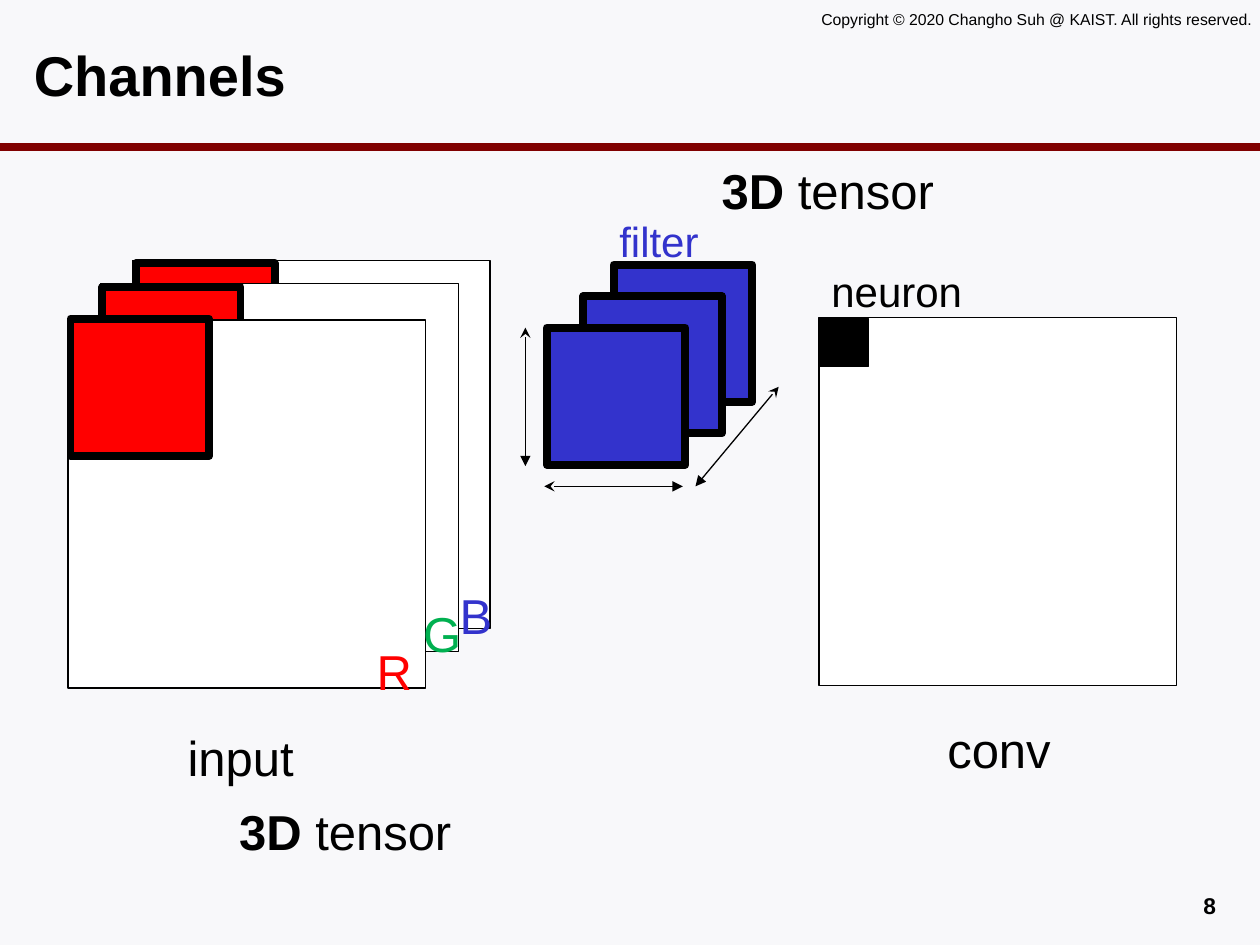
from pptx import Presentation
from pptx.dml.color import RGBColor
from pptx.enum.shapes import MSO_CONNECTOR, MSO_SHAPE
from pptx.enum.text import MSO_ANCHOR, MSO_AUTO_SIZE, PP_ALIGN
from pptx.oxml.ns import qn
from pptx.util import Inches, Pt
from lxml.etree import SubElement

# The slide is a grid of 100 columns by 75 rows
COLS, ROWS = 100, 75
CELL = Inches(10) // COLS
HUES = {"back": "F8F8FA", "rule": "800000", "ink": "000000", "sheet": "FFFFFF",
        "red": "FF0000", "green": "00B050", "blue": "3333CC"}
MAP = (28.4, 29.2)    # size of a feature map
PATCH = (11, 10.9)    # size of a filter window


def grid(*nums):
    return [round(n * CELL) for n in nums]


def tint(name):
    return RGBColor.from_string(HUES[name])


def style(part, form):
    for key, val in form.items():
        setattr(part, key, val)


def rect(slide, x, y, size, fill, line=0.75):
    box = slide.shapes.add_shape(MSO_SHAPE.RECTANGLE, *grid(x, y, *size))
    box.shadow.inherit = False
    box.fill.solid()
    box.fill.fore_color.rgb = tint(fill)
    box.line.color.rgb = tint("ink")
    box.line.width = Pt(line)


def stroke(slide, start, end, hue="ink", width=0.75, ends=()):
    line = slide.shapes.add_connector(MSO_CONNECTOR.STRAIGHT, *grid(*start, *end))
    line.line.color.rgb = tint(hue)
    line.line.width = Pt(width)
    props = line._element.spPr
    for tag, kind in ends:
        SubElement(props.find(qn("a:ln")), qn(tag), type=kind)
    SubElement(props, qn("a:effectLst"))


def arrow(slide, start, end):
    stroke(slide, start, end,
           ends=(("a:headEnd", "stealth"), ("a:tailEnd", "triangle")))


def text(slide, x, y, w, h, runs, size=28, hue="ink", align=PP_ALIGN.LEFT, **form):
    """Write runs, a list of (words, bold) pairs, in one paragraph."""
    frame = slide.shapes.add_textbox(*grid(x, y, w, h)).text_frame
    base = {"word_wrap": True, "margin_left": Inches(0.1),
            "margin_right": Inches(0.1), "margin_top": Inches(0.05),
            "margin_bottom": Inches(0.05)}
    style(frame, base | form)
    para = frame.paragraphs[0]
    para.alignment = align
    for words, bold in runs:
        run = para.add_run()
        run.text = words
        style(run.font, {"name": "Arial", "size": Pt(size), "bold": bold})
        run.font.color.rgb = tint(hue)


def label(slide, x, y, w, h, words, **form):
    runs = words if isinstance(words, list) else [(words, False)]
    text(slide, x, y, w, h, runs, margin_top=Inches(0.09), **form)


def tensor(slide, x, y):
    label(slide, x, y, 21.6, 6.8, [("3D", True), (" tensor", False)])


def frame(slide):
    # Rule, copyright line, title and page number
    stroke(slide, (0, 11.7), (COLS, 11.7), "rule", 4.5)
    text(slide, 64.2, 0.3, 37.3, 2.5,
         [("Copyright © 2020 Changho Suh @ KAIST. All rights reserved.", False)],
         size=9, word_wrap=False, auto_size=MSO_AUTO_SIZE.SHAPE_TO_FIT_TEXT)
    text(slide, 1.7, 1.7, 95.6, 8.3, [("Channels", True)], size=32,
         vertical_anchor=MSO_ANCHOR.MIDDLE)
    text(slide, 74.2, ROWS - 4.7, 23.3, 2.7, [("8", True)], size=13,
         align=PP_ALIGN.RIGHT)


def source(slide, x, y):
    # Input sheets from back to front, each with its window
    for dx, dy, px, py in ((5.1, 0, 5.4, 0.2), (2.6, 1.8, 2.7, 2.1),
                           (0, 4.7, 0.2, 4.6)):
        rect(slide, x + dx, y + dy, MAP, "sheet")
        rect(slide, x + px, y + py, PATCH, "red", 4.5)
    # Channel letters and captions
    for name, hue, dx, dy in (("R", "red", 23.5, 29.3), ("G", "green", 27.2, 26.3),
                              ("B", "blue", 30.1, 24.9)):
        label(slide, x + dx, y + dy, 4.9, 4.7, name, hue=hue)
    label(slide, x + 8.5, y + 36.1, 15.2, 6.8, "input")
    tensor(slide, x + 12.6, y + 42)


def kernel(slide, x, y):
    # Filter layers from back to front
    for dx, dy in ((5.3, 0), (2.9, 2.5), (0, 5)):
        rect(slide, x + dx, y + dy, PATCH, "blue", 4.5)
    # Height, width and depth
    low = y + 17.6
    arrow(slide, (x - 1.7, y + 5), (x - 1.7, y + 16))
    arrow(slide, (x - 0.2, low), (x + 10.8, low))
    arrow(slide, (x + 18.4, y + 9.7), (x + 11.8, low))
    label(slide, x + 2.9, y - 4.8, 12, 3.7, "filter", size=24, hue="blue",
          align=PP_ALIGN.CENTER)
    tensor(slide, x + 12.9, y - 9.2)


def result(slide, x, y):
    # Output map with its first neuron
    rect(slide, x, y, MAP, "sheet")
    rect(slide, x, y + 0.1, (3.9, 3.8), "ink", 0.5)
    label(slide, x, y - 5, 13, 4.6, "neuron", size=24)
    label(slide, x + 9.2, y + 31, 15.2, 6.8, "conv")


def main():
    deck = Presentation()
    style(deck, {"slide_width": COLS * CELL, "slide_height": ROWS * CELL})
    slide = deck.slides.add_slide(deck.slide_layouts[6])
    slide.background.fill.solid()
    slide.background.fill.fore_color.rgb = tint("back")
    frame(slide)
    source(slide, 5.4, 20.7)
    kernel(slide, 43.4, 21)
    result(slide, 65, 25.2)
    deck.save("out.pptx")


if __name__ == "__main__":
    main()
